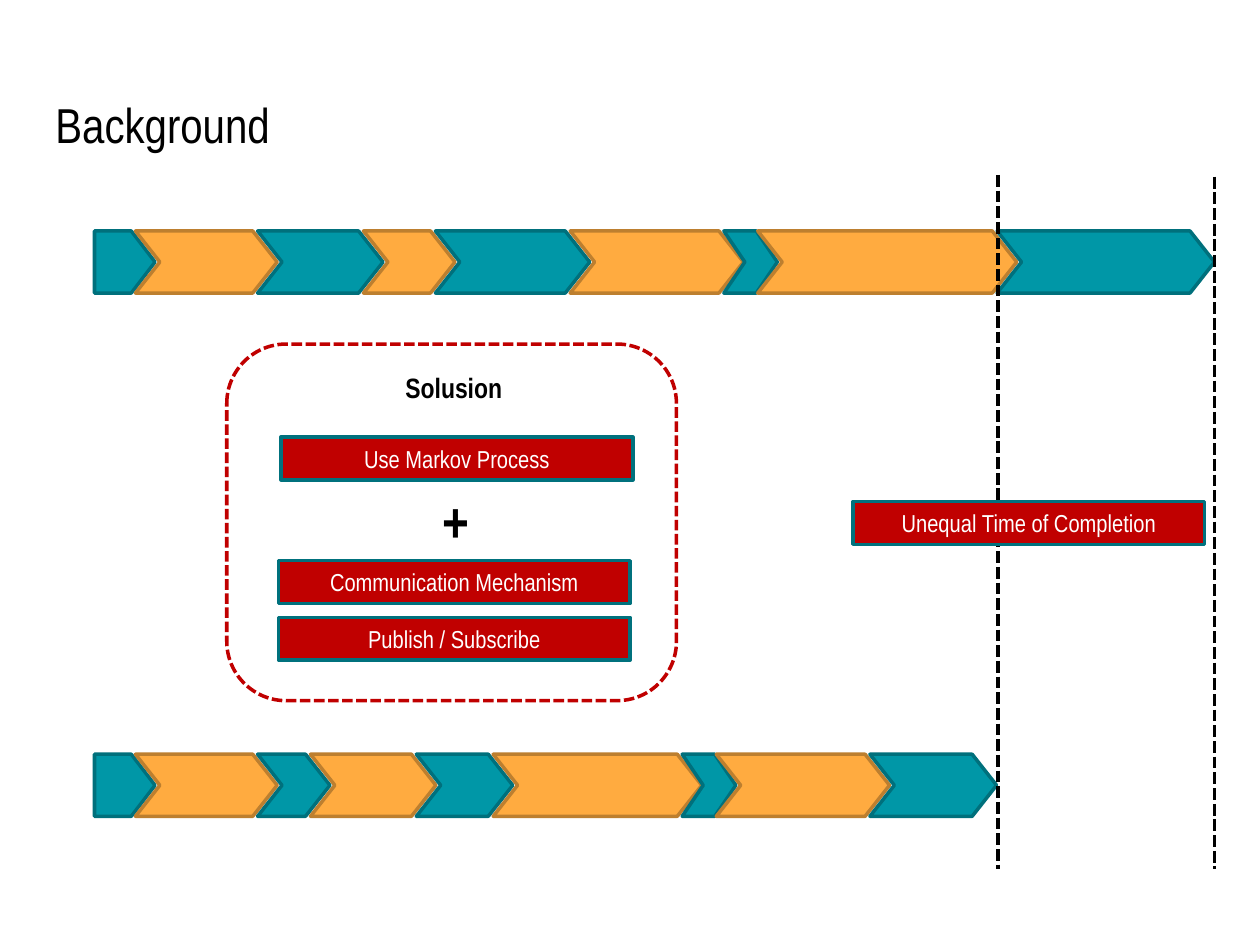
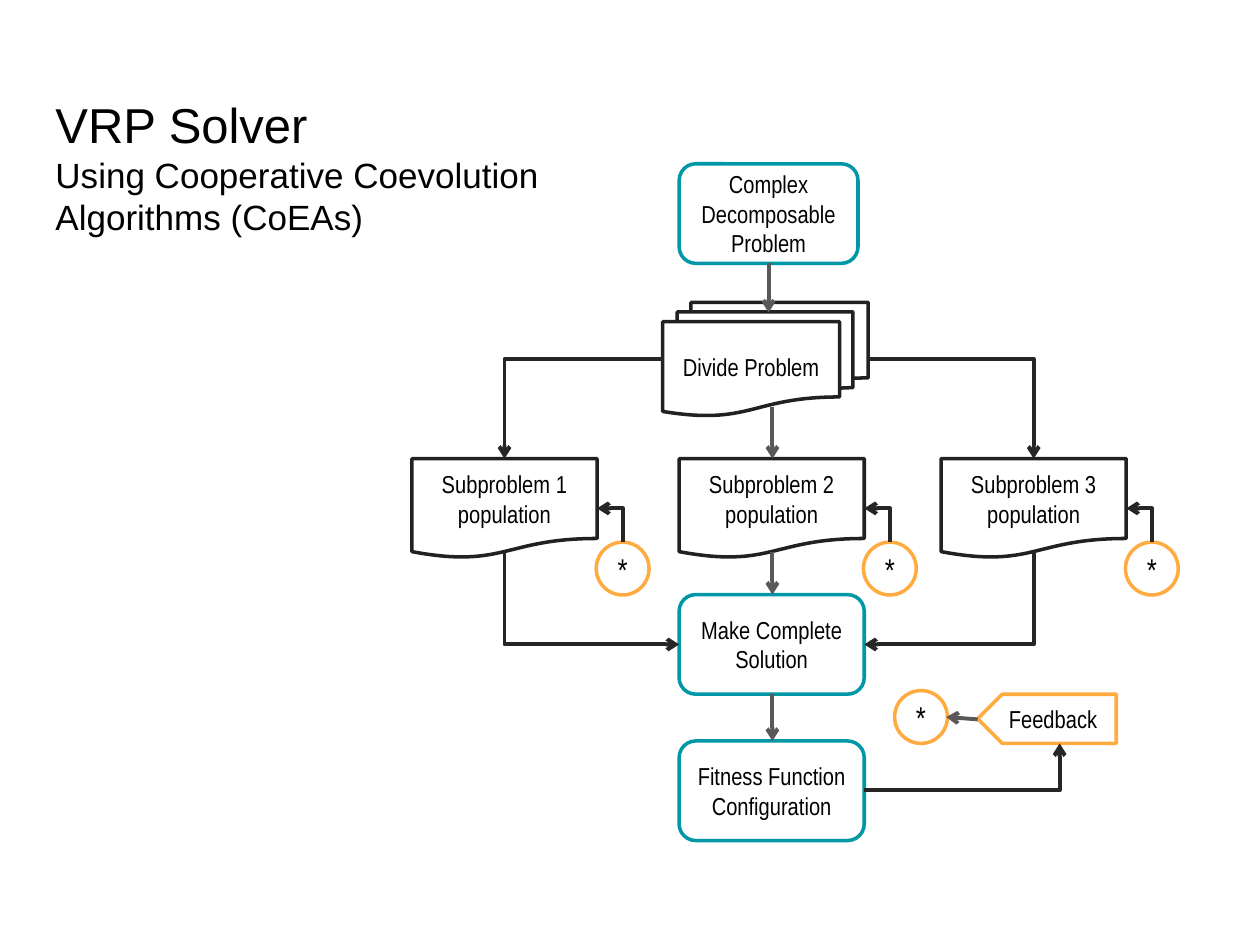
import pptx
import pptx.util
import pptx.dml.color
import pptx.enum.dml
import pptx.enum.shapes
import pptx.enum.text
import pptx.oxml
import pptx.oxml.ns

Pt = pptx.util.Pt
KIND = pptx.enum.shapes.MSO_SHAPE
WIRE = pptx.enum.shapes.MSO_CONNECTOR
ANCHOR = pptx.enum.text.MSO_ANCHOR
ALIGN = pptx.enum.text.PP_ALIGN
FIT = pptx.enum.text.MSO_AUTO_SIZE
DASH = pptx.enum.dml.MSO_LINE.SQUARE_DOT

COLORS = {
    "black": "000000", "white": "FFFFFF", "red": "C00000",
    "teal": "0097A7", "teal edge": "00707C", "label edge": "00717D",
    "orange": "FFAB40", "orange edge": "BD7F2F",
    "ink": "212121", "elbow": "262626", "gray": "595959",
}
NARROW = "Arial Narrow"
TOP, LEFT, BOTTOM, RIGHT = range(4)


def rgb(name):
    """Return the named colour."""
    return pptx.dml.color.RGBColor.from_string(COLORS[name])


def apply(target, formats):
    """Set every format value on the target."""
    for name, value in formats.items():
        setattr(target, name, value)


def write(para, text, size, color="black", font=NARROW, bold=False):
    """Add a formatted span to a paragraph."""
    span = para.add_run()
    span.text = text
    apply(span.font, {"size": Pt(size), "name": font, "bold": bold})
    span.font.color.rgb = rgb(color)


def add_title(page, box, lines, font):
    """Fill the title placeholder with (text, size) lines."""
    title = page.shapes.title
    apply(title, dict(zip(("left", "top", "width", "height"), map(Pt, box))))
    frame = title.text_frame
    apply(frame, {"vertical_anchor": ANCHOR.TOP, "auto_size": FIT.NONE, "word_wrap": True})
    for side in ("left", "right", "top", "bottom"):
        setattr(frame, f"margin_{side}", Pt(7.2))
    para = frame.paragraphs[0]
    para.alignment = ALIGN.LEFT
    for number, (text, size) in enumerate(lines):
        if number:
            para.add_line_break()
        write(para, text, size, font=font)


def add_block(page, kind, box, fill, edge, lines=(), size=14, color="black"):
    """Add an outlined shape with centred lines of text."""
    shape = page.shapes.add_shape(kind, *map(Pt, box))
    shape.shadow.inherit = False
    if fill:
        shape.fill.solid()
        shape.fill.fore_color.rgb = rgb(fill)
    else:
        shape.fill.background()
    shape.line.color.rgb = rgb(edge)
    shape.line.width = Pt(2)
    frame = shape.text_frame
    frame.vertical_anchor = ANCHOR.MIDDLE
    for number, text in enumerate(lines):
        para = frame.add_paragraph() if number else frame.paragraphs[0]
        para.alignment = ALIGN.CENTER
        write(para, text, size, color)
    return shape


def add_note(page, box, text, size):
    """Add a bold unwrapped text box."""
    frame = page.shapes.add_textbox(*map(Pt, box)).text_frame
    apply(frame, {"word_wrap": False, "auto_size": FIT.SHAPE_TO_FIT_TEXT})
    write(frame.paragraphs[0], text, size, bold=True)


def add_wire(page, kind, start, end, color, arrow=None):
    """Add a connector, with an arrowhead at its head or tail."""
    wire = page.shapes.add_connector(kind, *map(Pt, start + end))
    wire.line.color.rgb = rgb(color)
    wire.line.width = Pt(2.25)
    properties = wire._element.spPr
    pptx.oxml.ns.qn("a:effectLst")
    namespace = pptx.oxml.ns.nsdecls("a")
    properties.append(pptx.oxml.parse_xml(f"<a:effectLst {namespace}/>"))
    if arrow:
        tip = pptx.oxml.parse_xml(f'<a:{arrow}End {namespace} type="arrow"/>')
        wire.line._get_or_add_ln().append(tip)
    return wire


def add_elbow(page, source, target, start, end, arrow):
    """Join (shape, site) pairs by a wire that runs across, then up or down."""
    wire = add_wire(page, WIRE.ELBOW, start, end, "elbow", arrow)
    wire._element.spPr.find(pptx.oxml.ns.qn("a:prstGeom")).set("prst", "bentConnector2")
    wire.begin_connect(*source)
    wire.end_connect(*target)
    points = dict(zip(("begin_x", "begin_y", "end_x", "end_y"), map(Pt, start + end)))
    apply(wire, points)


def add_timeline(page, box, ends):
    """Draw a row of interlocking steps ending at the given offsets."""
    left, top, height = box
    overlap, start = 11.2, 0
    for number, end in enumerate(ends):
        kind = KIND.CHEVRON if number else KIND.PENTAGON
        color = "orange" if number % 2 else "teal"
        step = add_block(page, kind, (left + start, top, end - start, height),
                         color, f"{color} edge")
        step.adjustments[0] = 0.393
        start = end - overlap


def add_label(page, left, top, text):
    """Add a red label."""
    label = add_block(page, KIND.RECTANGLE, (left, top, 201, 24.5),
                      "red", "label edge", [text], color="white")
    label.text_frame.auto_size = FIT.SHAPE_TO_FIT_TEXT


def add_solution(page, box):
    """Draw the dashed panel and its parts."""
    left, top, width, height = box
    panel = add_block(page, KIND.ROUNDED_RECTANGLE, box, None, "red")
    panel.line.dash_style = DASH
    add_note(page, (left + 95, top + 11.5, 70.6, 26.6), "Solusion", 16)
    add_label(page, left + 31, top + 53.2, "Use Markov Process")
    add_note(page, (left + 116, top + 77.7, 30.2, 46), "+", 32)
    for row, text in enumerate(("Communication Mechanism", "Publish / Subscribe")):
        add_label(page, left + 29.5, top + 123.8 + row * 32.4, text)


def add_flow(page, box):
    """Draw the cooperative solving flow."""
    left, top = box
    width, height, middle = 105.8, 56.9, 206

    def move(x, y):
        return left + x, top + y

    def place(kind, x, y, size, edge, lines, points=14):
        return add_block(page, kind, move(x, y) + size, "white", edge, lines, points)

    def star(x, y):
        return place(KIND.OVAL, x, y, (30.2, 30.2), "orange", ["*"], 18)

    def elbow(source, target, start, end, arrow):
        add_elbow(page, source, target, move(*start), move(*end), arrow)

    rounded = KIND.ROUNDED_RECTANGLE
    size = (width, height)
    place(rounded, 152.7, 0, (102.2, height), "teal", ["Complex Decomposable Problem"])
    divide = place(KIND.FLOWCHART_MULTIDOCUMENT, 143.3, 79.2, (117.4, 64.8),
                   "ink", ["Divide Problem"])
    make = place(rounded, 152.7, 246.2, size, "teal", ["Make Complete Solution"])
    fitness = place(rounded, 152.7, 329.8, size, "teal", ["Fitness Function Configuration"])
    feedback = place(KIND.PENTAGON, 323.3, 303.1, (79.2, 28.1), "orange", ["Feedback"])
    feedback._element.spPr.find(pptx.oxml.ns.qn("a:xfrm")).set("flipH", "1")
    star(275.8, 301)

    problems = []
    for number, x in enumerate((0, 152.7, 302.4), 1):
        problem = place(KIND.FLOWCHART_DOCUMENT, x, 168.5, size, "ink",
                        [f"Subproblem {number}", "population"])
        edge = x + width
        loop = star(edge - 0.5, 216.2)
        elbow((problem, RIGHT), (loop, TOP), (edge, 196.9), (edge + 14.6, 216.2), "head")
        problems.append(problem)

    sides = ((problems[0], LEFT, 143.3, 152.7, 52.9),
             (problems[2], RIGHT, 260.7, 258.5, 355.3))
    for problem, side, divide_edge, make_edge, x in sides:
        elbow((divide, side), (problem, TOP), (divide_edge, 111.6), (x, 168.5), "tail")
        elbow((make, side), (problem, BOTTOM), (make_edge, 274.7), (x, 221.8), "head")
    elbow((fitness, RIGHT), (feedback, BOTTOM), (258.5, 358), (370.1, 331.2), "tail")

    arrows = [((203.8, 56.9), (203.8, 85)), ((323.3, 317.5), (305.3, 316.1))]
    drops = ((139, 168.5), (221.8, 246.2), (303.1, 329.8))
    arrows += [((middle, start), (middle, end)) for start, end in drops]
    for start, end in arrows:
        add_wire(page, WIRE.STRAIGHT, move(*start), move(*end), "gray", "tail")


def build_background(page):
    """Build the slide that compares two timelines."""
    add_solution(page, (129.6, 196.6, 257, 203.8))
    add_title(page, (24.5, 46.8, 671, 59.8), [("Background", 28)], NARROW)
    add_timeline(page, (54, 132, 35.5),
                 (34.6, 104.4, 164.9, 206, 283, 370.8, 390.2, 527, 640))
    add_timeline(page, (54, 431, 35.5),
                 (34.6, 104.4, 134.6, 195.1, 239, 347, 366.5, 454.3, 515.5))
    for x, y in ((570.2, 100), (694, 101)):
        limit = add_wire(page, WIRE.STRAIGHT, (x, y), (x, 496.8), "black")
        limit.line.dash_style = DASH
    add_label(page, 487.4, 286.6, "Unequal Time of Completion")


def build_solver(page):
    """Build the slide with the solver flow."""
    lines = [("VRP Solver", 28), ("Using Cooperative Coevolution", 20),
             ("Algorithms (CoEAs)", 20)]
    add_title(page, (24.5, 46.8, 671, 92.9), lines, "Arial")
    add_flow(page, (235.4, 93.6))


def main():
    """Build and save the deck."""
    deck = pptx.Presentation()
    apply(deck, {"slide_width": Pt(720), "slide_height": Pt(540)})
    for build in (build_background, build_solver):
        build(deck.slides.add_slide(deck.slide_layouts[5]))
    deck.save("out.pptx")


if __name__ == "__main__":
    main()
